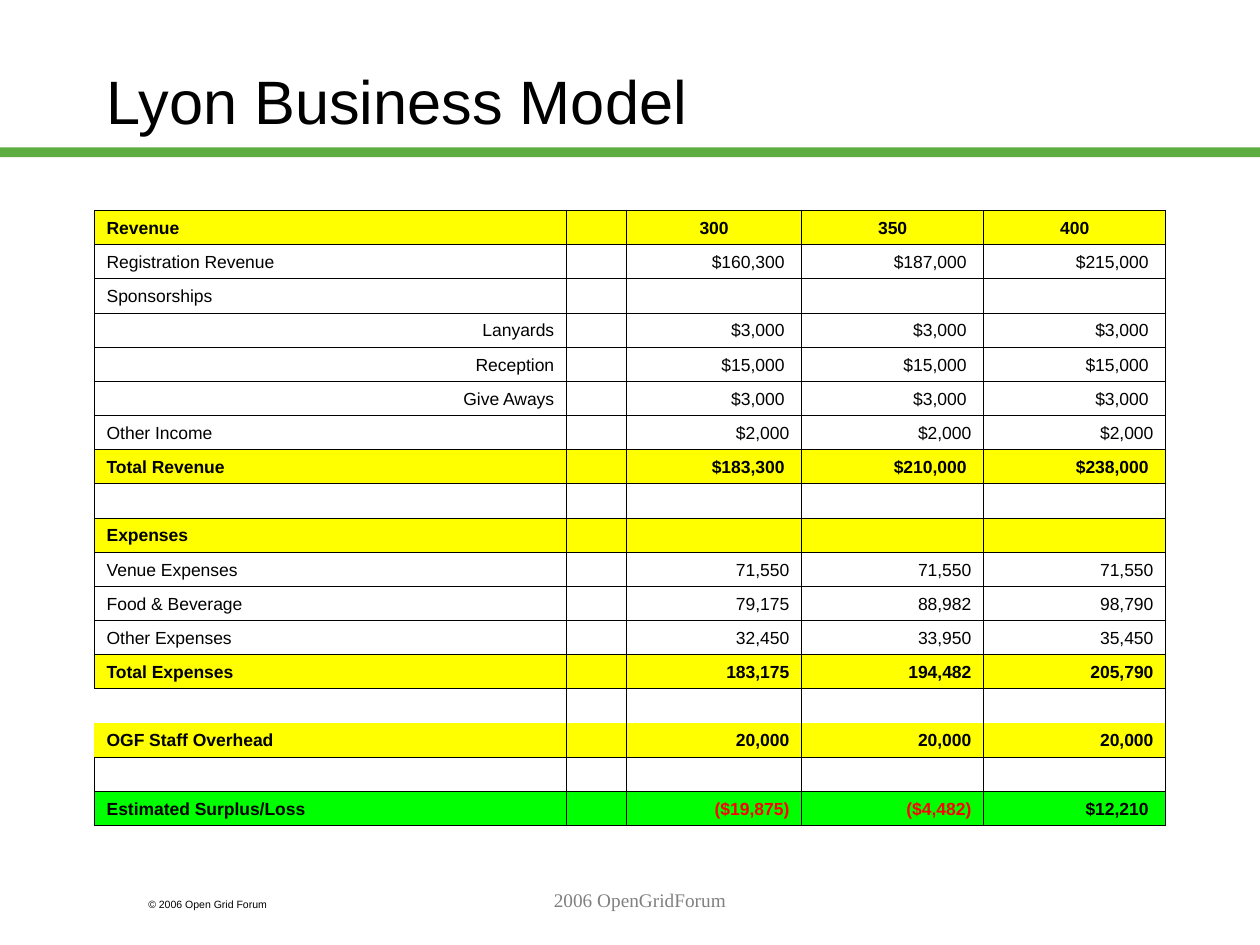
import dataclasses

import lxml.etree
import pptx
import pptx.dml.color
import pptx.enum.shapes
import pptx.enum.text
import pptx.oxml.ns
import pptx.util

Cm, Pt = pptx.util.Cm, pptx.util.Pt
ALIGN = pptx.enum.text.PP_ALIGN
ANCHOR = pptx.enum.text.MSO_ANCHOR
qn = pptx.oxml.ns.qn


@dataclasses.dataclass(frozen=True)
class Theme:
    sans: str = "Arial"
    serif: str = "Times New Roman"
    ink: str = "000000"
    footer: str = "808080"
    band: str = "5DAD41"
    heading: str = "FFFF00"
    result: str = "00FF00"
    loss: str = "FF0000"
    title_size: float = 35
    table_size: float = 10
    footer_size: float = 11
    copyright_size: float = 6
    border: float = 0.45


THEME = Theme()

# Ledger rows: label, three amounts, row kind
LEDGER = [
    ("Revenue", ("300", "350", "400"), "header"),
    ("Registration Revenue", ("$160,300 ", "$187,000 ", "$215,000 "), "item"),
    ("Sponsorships", ("", "", ""), "item"),
    ("Lanyards", ("$3,000 ",) * 3, "subitem"),
    ("Reception", ("$15,000 ",) * 3, "subitem"),
    ("Give Aways", ("$3,000 ",) * 3, "subitem"),
    ("Other Income", ("$2,000",) * 3, "item"),
    ("Total Revenue", ("$183,300 ", "$210,000 ", "$238,000 "), "total"),
    ("", ("", "", ""), "item"),
    ("Expenses", ("", "", ""), "total"),
    ("Venue Expenses", ("71,550",) * 3, "item"),
    ("Food & Beverage", ("79,175", "88,982", "98,790"), "item"),
    ("Other Expenses", ("32,450", "33,950", "35,450"), "item"),
    ("Total Expenses", ("183,175", "194,482", "205,790"), "total"),
    ("", ("", "", ""), "open above overhead"),
    ("OGF Staff Overhead", ("20,000",) * 3, "overhead"),
    ("", ("", "", ""), "item"),
    ("Estimated Surplus/Loss", ("($19,875)", "($4,482)", "$12,210 "), "result"),
]
FILLS = {"header": THEME.heading, "total": THEME.heading,
         "overhead": THEME.heading, "result": THEME.result}
# Sides without a line around the overhead rows
OPEN_SIDES = {"open above overhead": "B", "overhead": "T"}
COLUMNS = (9.52, 1.21, 3.53, 3.67, 3.67)
TABLE_HEIGHT = 12.32


def rgb(value):
    return pptx.dml.color.RGBColor.from_string(value)


def write_text(frame, text, *, size, font=THEME.sans, color=THEME.ink,
               bold=False, align=ALIGN.LEFT):
    paragraph = frame.paragraphs[0]
    paragraph.alignment = align
    if not text:
        # An empty cell keeps the row height of its text size
        lxml.etree.SubElement(paragraph._p, qn("a:endParaRPr"), sz=str(int(size * 100)))
        return
    run = paragraph.add_run()
    run.text = text
    run.font.name = font
    run.font.size = Pt(size)
    run.font.bold = bold
    run.font.color.rgb = rgb(color)


class SlideBuilder:
    def __init__(self, theme, slide):
        self.theme = theme
        self.slide = slide

    def title(self, text, left, top, width, height):
        title = self.slide.shapes.title
        title.left, title.top = Cm(left), Cm(top)
        title.width, title.height = Cm(width), Cm(height)
        title.text_frame.auto_size = pptx.enum.text.MSO_AUTO_SIZE.NONE
        title.text_frame.vertical_anchor = ANCHOR.MIDDLE
        write_text(title.text_frame, text, size=self.theme.title_size)

    def band(self, left, top, width, height):
        band = self.slide.shapes.add_shape(
            pptx.enum.shapes.MSO_SHAPE.RECTANGLE,
            Cm(left), Cm(top), Cm(width), Cm(height))
        band.shadow.inherit = False
        band.fill.solid()
        band.fill.fore_color.rgb = rgb(self.theme.band)
        band.line.fill.background()

    def label(self, text, left, top, width, height, **style):
        label = self.slide.shapes.add_textbox(Cm(left), Cm(top), Cm(width), Cm(height))
        label.text_frame.word_wrap = True
        write_text(label.text_frame, text, **style)

    def borders(self, cell, hidden):
        properties = cell._tc.get_or_add_tcPr()
        for side in "LRTB":
            line = lxml.etree.SubElement(properties, qn("a:ln" + side),
                                         w=str(Pt(self.theme.border)))
            if side in hidden:
                lxml.etree.SubElement(line, qn("a:noFill"))
            else:
                fill = lxml.etree.SubElement(line, qn("a:solidFill"))
                lxml.etree.SubElement(fill, qn("a:srgbClr"), val=self.theme.ink)

    def cell(self, cell, text, fill, hidden, **style):
        cell.vertical_anchor = ANCHOR.BOTTOM
        cell.margin_left = cell.margin_right = Cm(0.25)
        cell.margin_top = cell.margin_bottom = Cm(0.13)
        self.borders(cell, hidden)
        if fill:
            cell.fill.solid()
            cell.fill.fore_color.rgb = rgb(fill)
        else:
            cell.fill.background()
        write_text(cell.text_frame, text, size=self.theme.table_size, **style)

    def ledger(self, rows, left, top):
        table = self.slide.shapes.add_table(
            len(rows), len(COLUMNS), Cm(left), Cm(top),
            Cm(sum(COLUMNS)), Cm(TABLE_HEIGHT)).table
        table.first_row = table.horz_banding = False
        for column, width in zip(table.columns, COLUMNS):
            column.width = Cm(width)
        for row, (name, amounts, kind) in enumerate(rows):
            table.rows[row].height = Cm(TABLE_HEIGHT / len(rows))
            for column, text in enumerate((name, "", *amounts)):
                align = ALIGN.RIGHT if column or kind == "subitem" else ALIGN.LEFT
                if column and kind == "header":
                    align = ALIGN.CENTER
                hidden = OPEN_SIDES.get(kind, "")
                if hidden and column == 0:
                    hidden += "L"
                self.cell(table.cell(row, column), text, FILLS.get(kind), hidden,
                          bold=kind in FILLS, align=align,
                          color=self.theme.loss if text.startswith("(") else self.theme.ink)


def main():
    deck = pptx.Presentation()
    deck.slide_width, deck.slide_height = Cm(25.4), Cm(19.05)
    builder = SlideBuilder(THEME, deck.slides.add_slide(deck.slide_layouts[5]))

    # Heading
    builder.band(0, 2.97, 25.4, 0.2)
    builder.title("Lyon Business Model", 1.9, 0.43, 21.59, 3.18)

    # Revenue and expenses by attendance
    builder.ledger(LEDGER, 1.9, 4.24)

    # Footer
    builder.label("© 2006 Open Grid Forum", 2.74, 17.98, 3.81, 0.5,
                  size=THEME.copyright_size)
    builder.label("2006 OpenGridForum", 5.5, 17.78, 14.8, 1.27,
                  size=THEME.footer_size, font=THEME.serif,
                  color=THEME.footer, align=ALIGN.CENTER)

    deck.save("out.pptx")


if __name__ == "__main__":
    main()
